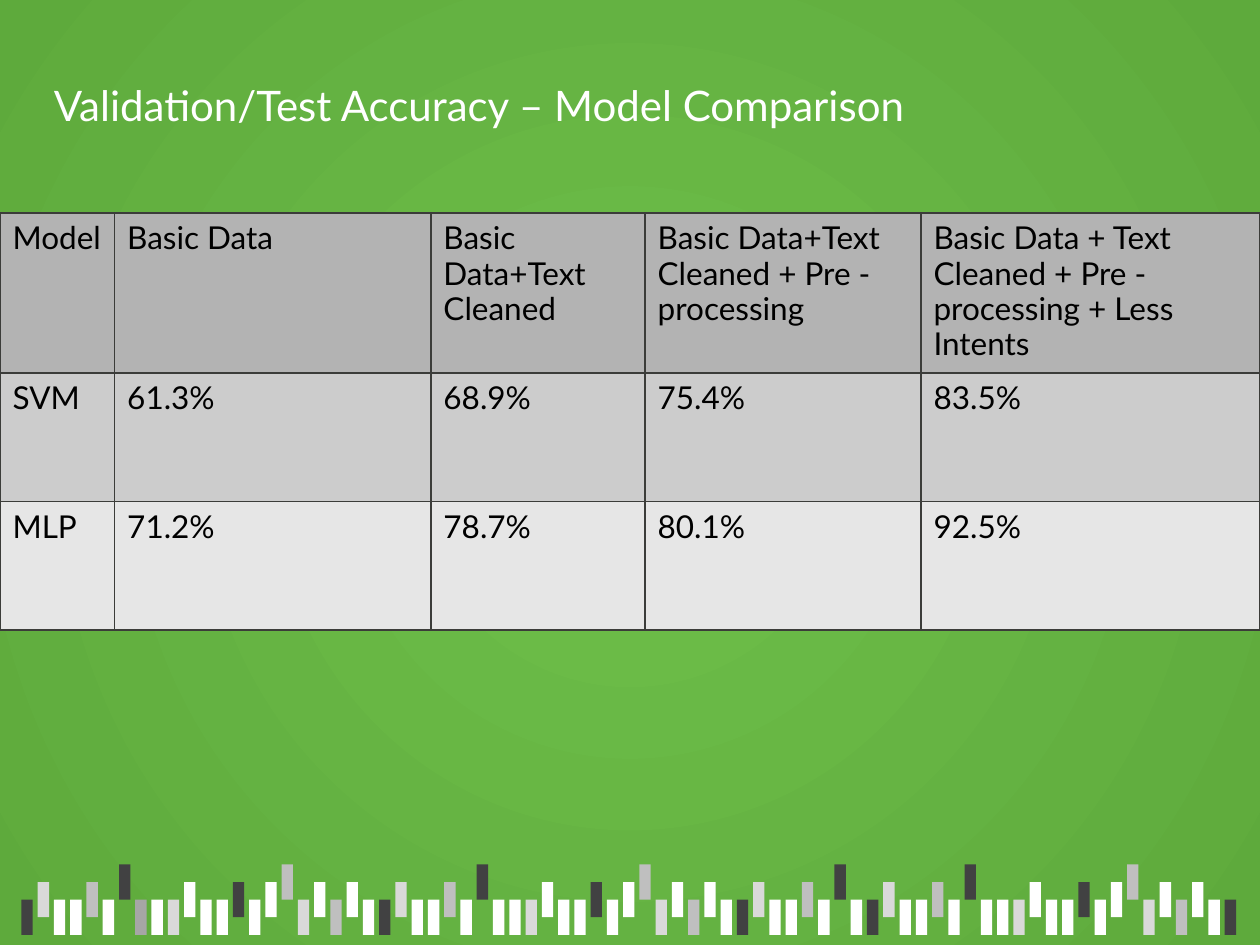
from lxml import etree
from pptx import Presentation
from pptx import util as u
from pptx.dml.color import RGBColor
from pptx.enum import shapes, text
from pptx.oxml import ns

INK = RGBColor(0x00, 0x00, 0x00)
WHITE = RGBColor(0xFF, 0xFF, 0xFF)
EDGE = RGBColor(0x3B, 0x3C, 0x39)
GLOW = RGBColor(0x6E, 0xBF, 0x4A)
GREEN = RGBColor(0x5E, 0xAA, 0x3C)
ROW_FILLS = [RGBColor(0xB3, 0xB3, 0xB3), RGBColor(0xCC, 0xCC, 0xCC),
             RGBColor(0xE6, 0xE6, 0xE6)]
BAR_FILLS = {
    "K": RGBColor(0x41, 0x41, 0x42),
    "A": RGBColor(0xA6, 0xA6, 0xA6),
    "B": RGBColor(0xBF, 0xBF, 0xBF),
    "D": RGBColor(0xD9, 0xD9, 0xD9),
    "W": WHITE,
}

TITLE = "Validation/Test Accuracy – Model Comparison"
ROWS = [
    ["Model", "Basic Data", "Basic Data+Text Cleaned",
     "Basic Data+Text Cleaned + Pre - processing",
     "Basic Data + Text Cleaned + Pre - processing + Less Intents"],
    ["SVM", "61.3%", "68.9%", "75.4%", "83.5%"],
    ["MLP", "71.2%", "78.7%", "80.1%", "92.5%"],
]
WIDTHS = [0.91, 2.51, 1.7, 2.19, 2.69]
HEIGHTS = [1.27, 1.02, 1.02]

START = ["K0", "D1"]
WAVE = ("W0 W0 B1 W0 K2 W0 W0 D0 W1 W0 W0 "
        "K1 W0 W1 B2 D0 W1 B0 W1 W0 K0 D1").split()
BARS = START + WAVE * 2 + WAVE[:6] + START + WAVE[:-1]
BARS[7] = "A0"
LEFT, RIGHT, BASE, STEP = 0.17, 9.72, 7.14, 0.14
BAR_W, BAR_H = 0.09, 0.28

CELL = {
    "margin_left": u.Inches(0.1),
    "margin_right": u.Inches(0.1),
    "margin_top": u.Inches(0.07),
    "margin_bottom": u.Inches(0.05),
    "vertical_anchor": text.MSO_ANCHOR.TOP,
}
FRAME = {"word_wrap": True, "auto_size": text.MSO_AUTO_SIZE.SHAPE_TO_FIT_TEXT}


def apply(item, values):
    for name, value in values.items():
        setattr(item, name, value)


def write(para, words, size, color):
    run = para.add_run()
    run.text = words
    apply(run.font, {"name": "Lato", "size": u.Pt(size)})
    run.font.color.rgb = color


def add(parent, tag, **values):
    return etree.SubElement(parent, ns.qn(tag), values)


def paint(slide):
    fill = slide.background.fill
    fill.gradient()
    for stop, color in zip(fill.gradient_stops, (GLOW, GREEN)):
        stop.color.rgb = color
    grad = slide.background._cSld.find(".//" + ns.qn("a:gradFill"))
    add(grad.find(".//" + ns.qn("a:srgbClr")), "a:alpha", val="84000")
    lin = grad.find(ns.qn("a:lin"))
    route = etree.Element(ns.qn("a:path"), {"path": "circle"})
    add(route, "a:fillToRect", l="50000", t="50000", r="50000", b="50000")
    grad.replace(lin, route)


def draw_bars(slide):
    pitch = (RIGHT - LEFT) / (len(BARS) - 1)
    for i, (tone, level) in enumerate(BARS):
        bar = slide.shapes.add_shape(
            shapes.MSO_SHAPE.RECTANGLE, u.Inches(LEFT + i * pitch),
            u.Inches(BASE - int(level) * STEP), u.Inches(BAR_W), u.Inches(BAR_H))
        bar.shadow.inherit = False
        bar.fill.solid()
        bar.fill.fore_color.rgb = BAR_FILLS[tone]
        bar.line.fill.background()


def outline(cell):
    props = cell._tc.get_or_add_tcPr()
    for side in ("a:lnL", "a:lnR", "a:lnT", "a:lnB"):
        line = add(props, side, w=str(u.Pt(1)))
        add(add(line, "a:solidFill"), "a:srgbClr", val=str(EDGE))


def draw_table(slide):
    grid = slide.shapes.add_table(
        len(ROWS), len(WIDTHS), 0, u.Inches(1.69),
        u.Inches(sum(WIDTHS)), u.Inches(sum(HEIGHTS))).table
    apply(grid, {"first_row": False, "horz_banding": False})
    for col, width in zip(grid.columns, WIDTHS):
        col.width = u.Inches(width)
    for row, height, words, color in zip(grid.rows, HEIGHTS, ROWS, ROW_FILLS):
        row.height = u.Inches(height)
        for cell, word in zip(row.cells, words):
            apply(cell, CELL)
            outline(cell)
            cell.fill.solid()
            cell.fill.fore_color.rgb = color
            para = cell.text_frame.paragraphs[0]
            para.line_spacing = 0.93
            write(para, word, 18, INK)
    first = grid.cell(0, 0)
    first.margin_top = u.Inches(0.08)
    first.text_frame.paragraphs[0].line_spacing = 0.87


def draw_title(slide):
    box = slide.shapes.add_textbox(
        u.Inches(0.33), u.Inches(0.58), u.Inches(8.33), u.Inches(0.5))
    apply(box.text_frame, FRAME)
    write(box.text_frame.paragraphs[0], TITLE, 24, WHITE)


def main():
    deck = Presentation()
    apply(deck, {"slide_width": u.Inches(10), "slide_height": u.Inches(7.5)})
    slide = deck.slides.add_slide(deck.slide_layouts[6])
    paint(slide)
    draw_bars(slide)
    draw_table(slide)
    draw_title(slide)
    deck.save("out.pptx")


if __name__ == "__main__":
    main()
